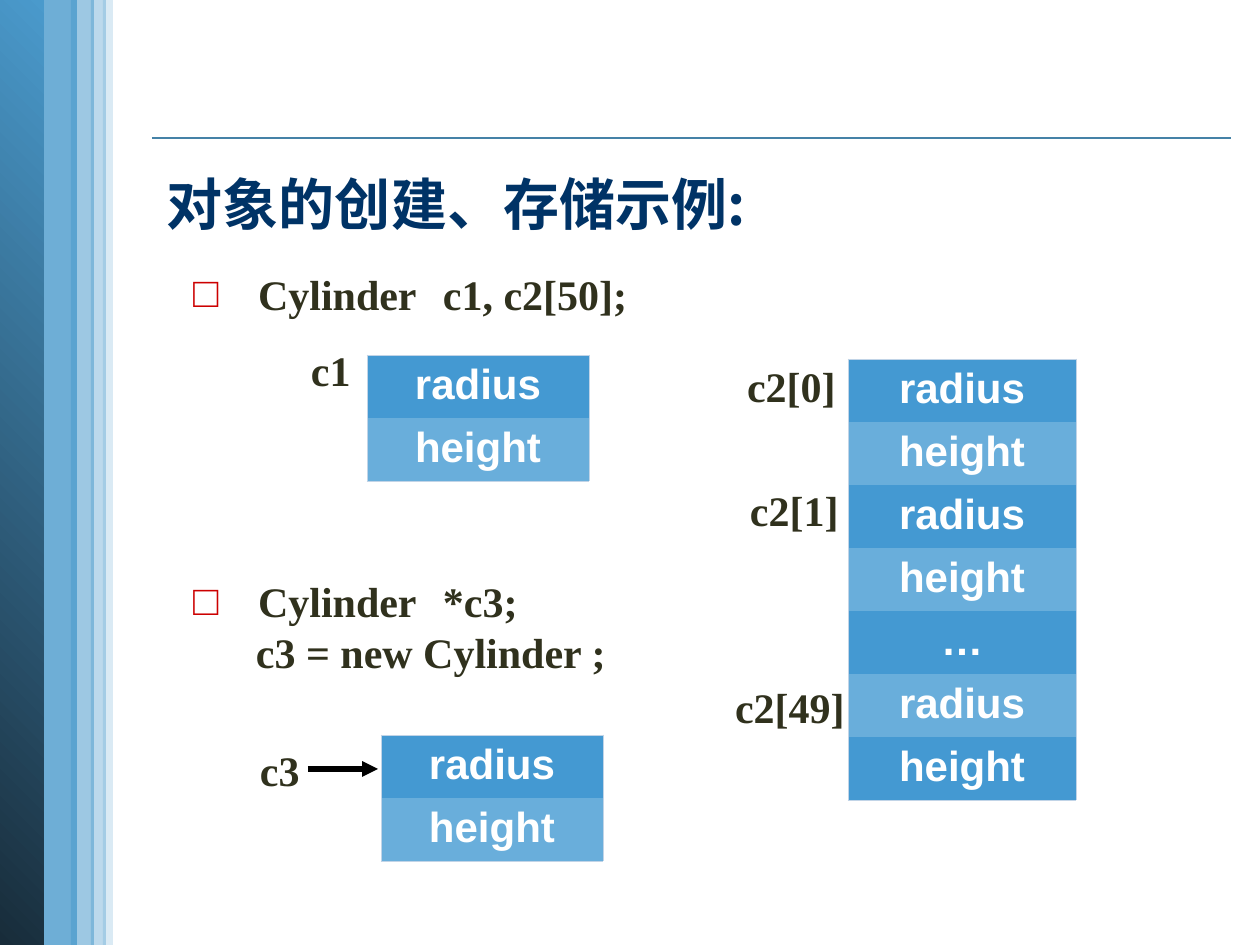
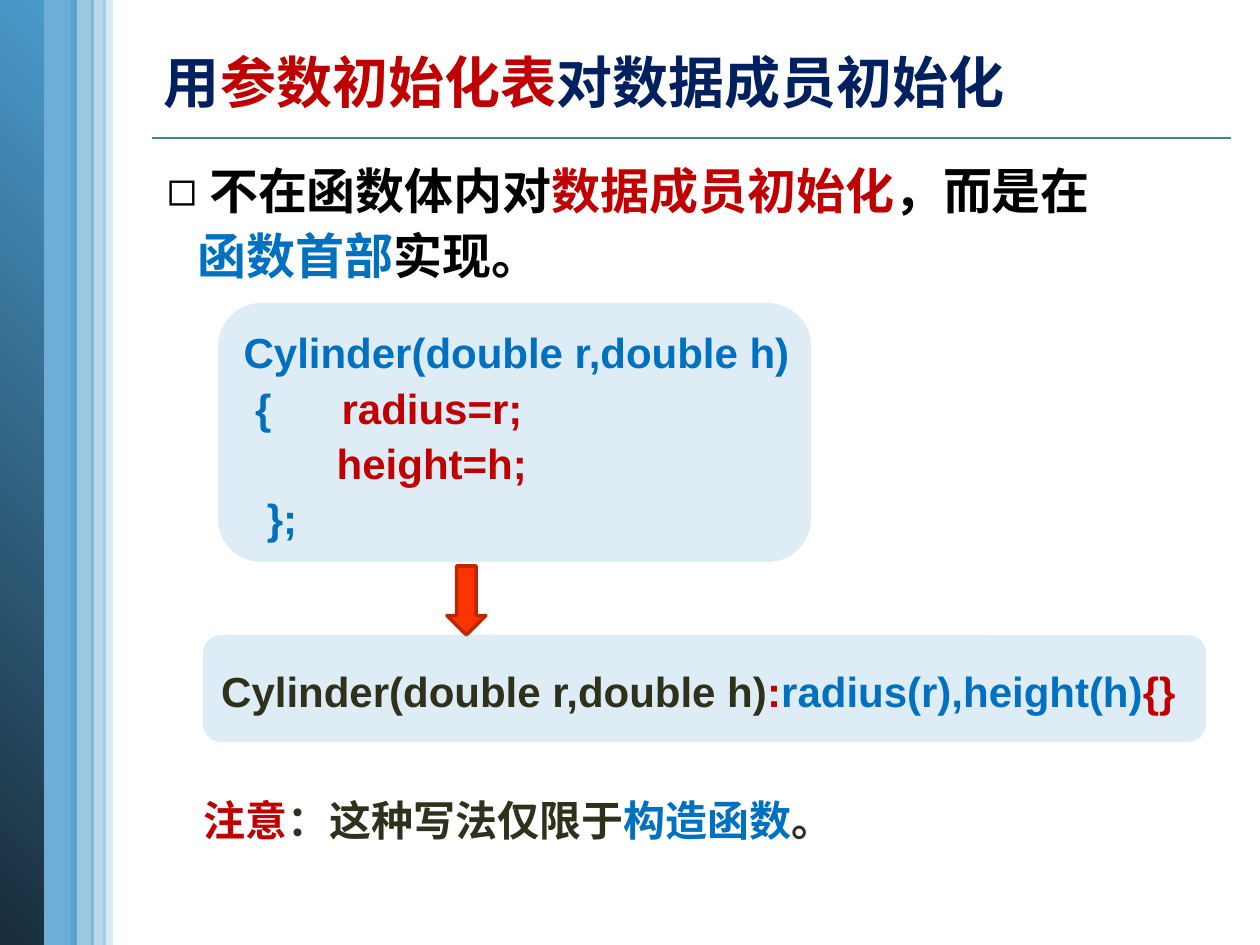
from lxml import etree
from pptx import Presentation
from pptx.dml.color import RGBColor
from pptx.enum.shapes import MSO_CONNECTOR, MSO_SHAPE
from pptx.enum.text import MSO_ANCHOR, MSO_AUTO_SIZE, PP_ALIGN
from pptx.oxml.ns import qn
from pptx.util import Emu, Pt

RECT, ROUNDED = MSO_SHAPE.RECTANGLE, MSO_SHAPE.ROUNDED_RECTANGLE
DOWN_ARROW = MSO_SHAPE.DOWN_ARROW
STRAIGHT = MSO_CONNECTOR.STRAIGHT
TOP, MIDDLE = MSO_ANCHOR.TOP, MSO_ANCHOR.MIDDLE
LEFT, CENTER = PP_ALIGN.LEFT, PP_ALIGN.CENTER
NO_AUTOFIT = MSO_AUTO_SIZE.NONE

PX_PER_INCH = 126
SLIDE_W, SLIDE_H = 1260, 945
SANS, SERIF, CJK = "Arial", "Times New Roman", "Noto Sans CJK SC"
TITLE_LAYOUTS = {"one list": 1, "two lists": 3}

COLORS = {
    "band": "4A9ACC", "band_dark": "182C3A", "rule": "4582A7",
    "title": "003366", "navy": "002060", "ink": "30311D",
    "black": "000000", "white": "FFFFFF",
    "red": "C00000", "blue": "0070C0", "bullet": "CC0000",
    "field_dark": "4499D2", "field_light": "69AEDB", "field_edge": "C1D4E7",
    "panel": "92C2E0", "arrow": "FF3300", "arrow_edge": "BD2600",
}

# left, width and opacity of the translucent side bands
BANDS = [(38, 39, 80), (103, 10, 20), (71, 23, 54), (91, 15, 37)]
DEEP_BAND_W = 44


def px(length):
    return Emu(round(length * 914400 / PX_PER_INCH))


def box_px(box):
    return [px(length) for length in box]


def color(name):
    return RGBColor.from_string(COLORS[name])


# ---- text ----
def add_runs(paragraph, runs, size, font):
    for text, color_name in runs:
        run = paragraph.add_run()
        run.text = text
        run.font.size, run.font.bold, run.font.name = Pt(size), True, font
        run.font.color.rgb = color(color_name)
        latin = run.font._element.find(qn("a:latin"))
        east_asian = etree.Element(qn("a:ea"), typeface=CJK)
        latin.addnext(east_asian)


def set_bullet(paragraph, char, color_name, margin, hanging):
    """Set the bullet and indents; without a char the line only has a margin."""
    props = paragraph._p.get_or_add_pPr()
    props.set("marL", str(px(margin)))
    props.set("indent", str(px(-hanging)))
    if char is None:
        etree.SubElement(props, qn("a:buNone"))
        return
    bullet_color = etree.SubElement(props, qn("a:buClr"))
    etree.SubElement(bullet_color, qn("a:srgbClr"), val=COLORS[color_name])
    etree.SubElement(props, qn("a:buChar"), char=char)


def write_lines(frame, lines, size, font, spacing=None, insets=(13, 6, 13, 6),
                anchor=TOP, bullets=None):
    """Fill a frame with lines, each a list of (text, colour) runs."""
    frame.auto_size, frame.word_wrap = NO_AUTOFIT, True
    frame.vertical_anchor = anchor
    (frame.margin_left, frame.margin_top,
     frame.margin_right, frame.margin_bottom) = box_px(insets)
    for index, runs in enumerate(lines):
        paragraph = frame.add_paragraph() if index else frame.paragraphs[0]
        if bullets:
            set_bullet(paragraph, *bullets[index])
        paragraph.alignment = LEFT
        paragraph.space_before = Pt(0)
        if spacing:
            paragraph.line_spacing = spacing
        add_runs(paragraph, runs, size, font)


def fill_placeholder(placeholder, box, lines, size, font, **layout):
    (placeholder.left, placeholder.top,
     placeholder.width, placeholder.height) = box_px(box)
    write_lines(placeholder.text_frame, lines, size, font, **layout)


def add_text(slide, box, lines, size, font, **layout):
    textbox = slide.shapes.add_textbox(*box_px(box))
    write_lines(textbox.text_frame, lines, size, font, **layout)


def add_label(slide, left, top, text):
    add_text(slide, (left, top, 120, 50), [[(text, "ink")]], 24, SERIF,
             insets=(0, 0, 0, 0))


# ---- shapes and lines ----
def add_block(slide, kind, box, fill, opacity=100):
    block = slide.shapes.add_shape(kind, *box_px(box))
    block.shadow.inherit = False
    block.fill.solid()
    block.fill.fore_color.rgb = color(fill)
    if opacity < 100:
        fill_color = next(block._element.spPr.iter(qn("a:srgbClr")))
        etree.SubElement(fill_color, qn("a:alpha"), val=str(opacity * 1000))
    block.line.fill.background()
    return block


def add_line(slide, start, end, color_name, width, arrow=False):
    line = slide.shapes.add_connector(STRAIGHT, *box_px(start + end))
    line.line.color.rgb = color(color_name)
    line.line.width = Pt(width)
    if arrow:
        etree.SubElement(line.line._get_or_add_ln(), qn("a:tailEnd"),
                         type="triangle", w="med", len="med")
    etree.SubElement(line._element.spPr, qn("a:effectLst"))


def add_code_panel(slide, box, lines):
    panel = add_block(slide, ROUNDED, box, "panel", 30)
    # the rounded corners already narrow the text area
    write_lines(panel.text_frame, lines, 24, SANS, spacing=1.1,
                insets=(13, 6, 0, 6), anchor=MIDDLE)


# ---- memory tables ----
def set_border(cell, side, visible):
    border = etree.SubElement(cell._tc.get_or_add_tcPr(), qn("a:ln" + side))
    if not visible:
        etree.SubElement(border, qn("a:noFill"))
        return
    border.set("w", str(Pt(0.5)))
    solid = etree.SubElement(border, qn("a:solidFill"))
    etree.SubElement(solid, qn("a:srgbClr"), val=COLORS["field_edge"])


def add_memory_table(slide, left, top, width, fields):
    row_height, last = 63, len(fields) - 1
    box = (left, top, width, row_height * len(fields))
    table = slide.shapes.add_table(len(fields), 1, *box_px(box)).table
    table.first_row = table.horz_banding = False
    for index, field in enumerate(fields):
        cell = table.cell(index, 0)
        edges = {"L": True, "R": True, "T": index == 0, "B": index == last}
        for side, visible in edges.items():
            set_border(cell, side, visible)
        cell.fill.solid()
        cell.fill.fore_color.rgb = color(
            "field_light" if index % 2 else "field_dark")
        paragraph = cell.text_frame.paragraphs[0]
        paragraph.alignment = CENTER
        add_runs(paragraph, [(field, "white")], 24, SANS)


# ---- slides ----
def new_slide(deck, layout):
    """Add a slide with the side bands and the rule under the title."""
    slide = deck.slides.add_slide(deck.slide_layouts[TITLE_LAYOUTS[layout]])
    for left, width, opacity in BANDS:
        add_block(slide, RECT, (left, 0, width, SLIDE_H), "band", opacity)
    deep_band = add_block(slide, RECT, (0, 0, DEEP_BAND_W, SLIDE_H), "band")
    deep_band.fill.gradient()
    deep_band.fill.gradient_angle = 45
    for stop, name in zip(deep_band.fill.gradient_stops, ("band_dark", "band")):
        stop.color.rgb = color(name)
    add_line(slide, (152, 138), (1231, 138), "rule", 1)
    return slide


def build_storage_slide(deck):
    slide = new_slide(deck, "two lists")
    fill_placeholder(slide.shapes.title, (154, 143, 1043, 101),
                     [[("对象的创建、存储示例:", "title")]], 32, CJK, spacing=1.3)

    # declarations
    item = ("□", "bullet", 67, 65)
    continuation = (None, None, 65, 0)
    static_list, pointer_list = list(slide.placeholders)[1:3]
    fill_placeholder(static_list, (191, 268, 485, 51),
                     [[("Cylinder \tc1, c2[50];", "ink")]], 24, SERIF,
                     insets=(0, 0, 0, 0), bullets=[item])
    fill_placeholder(pointer_list, (191, 576, 449, 102),
                     [[("Cylinder \t*c3;", "ink")],
                      [("c3 = new Cylinder ;", "ink")]], 24, SERIF,
                     spacing=Pt(28.8), insets=(0, 0, 0, 0),
                     bullets=[item, continuation])

    # objects in memory
    members = ["radius", "height"]
    add_memory_table(slide, 367, 355, 222, members)
    add_memory_table(slide, 381, 735, 222, members)
    add_memory_table(slide, 848, 359, 228, members * 2 + ["…"] + members)
    for left, top, name in [(311, 345, "c1"), (747, 361, "c2[0]"),
                            (750, 485, "c2[1]"), (735, 682, "c2[49]"),
                            (260, 745, "c3")]:
        add_label(slide, left, top, name)
    add_line(slide, (308, 769), (378, 769), "black", 3, arrow=True)


def build_initializer_slide(deck):
    slide = new_slide(deck, "one list")
    fill_placeholder(slide.shapes.title, (151, 41, 984, 81),
                     [[("用", "navy"), ("参数初始化表", "red"),
                       ("对数据成员初始化", "navy")]], 32, SANS)
    fill_placeholder(slide.placeholders[1], (154, 149, 979, 144),
                     [[(" 不在函数体内对", "black"), ("数据成员初始化", "red"),
                       ("，而是在", "black"), ("函数首部", "blue"),
                       ("实现。", "black")]], 28, SANS, spacing=1.1,
                     bullets=[("◻", "black", 31, 31)])

    # constructor before and after
    add_code_panel(slide, (218, 303, 593, 259),
                   [[("Cylinder(double r,double h)", "blue")],
                    [(" {      ", "blue"), ("radius=r;", "red")],
                    [("        height=h;", "red")],
                    [("  };", "blue")]])
    arrow = add_block(slide, DOWN_ARROW, (447, 566, 39, 69), "arrow")
    arrow.line.color.rgb = color("arrow_edge")
    arrow.line.width = Pt(2)
    add_code_panel(slide, (203, 635, 1003, 107),
                   [[("Cylinder(double r,double h)", "ink"), (":", "red"),
                     ("radius(r),height(h)", "blue"), ("{}", "red")]])

    # closing note
    add_text(slide, (191, 789, 665, 63),
             [[("注意", "red"), ("：这种写法仅限于", "ink"),
               ("构造函数", "blue"), ("。", "ink")]], 24, CJK)


def main():
    deck = Presentation()
    deck.slide_width, deck.slide_height = px(SLIDE_W), px(SLIDE_H)
    build_storage_slide(deck)
    build_initializer_slide(deck)
    deck.save("out.pptx")


if __name__ == "__main__":
    main()
